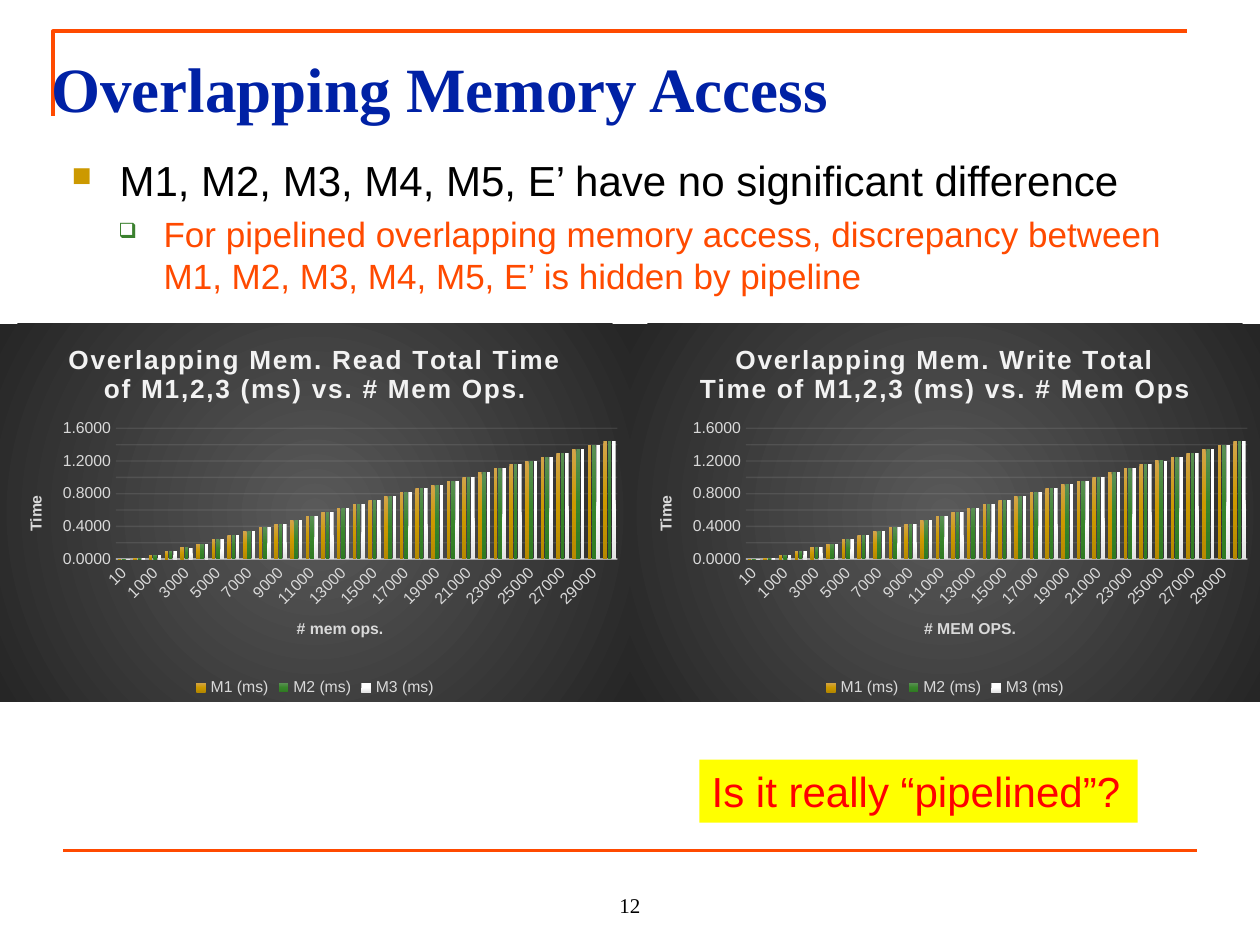
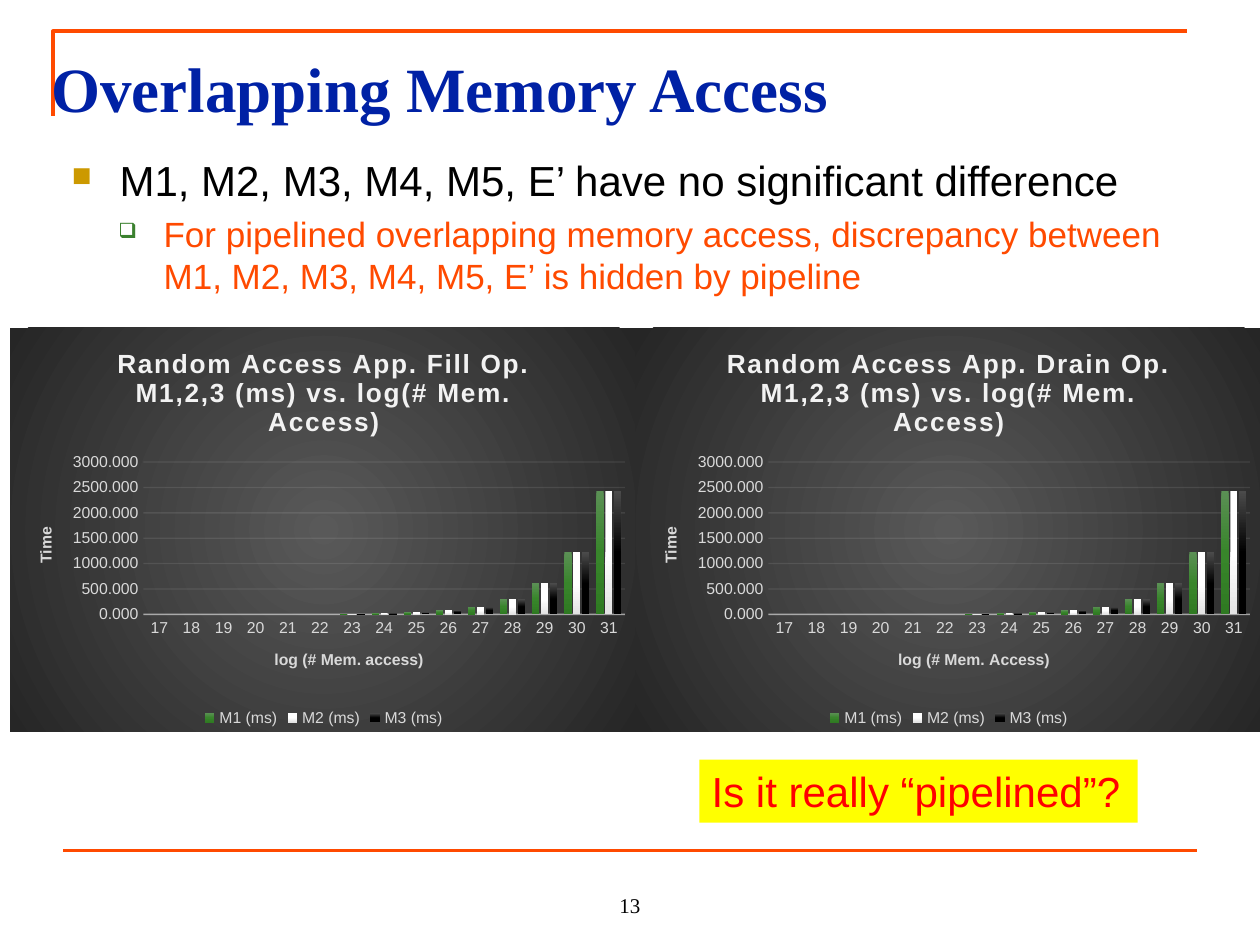
"""Build two slides that compare memory access times in paired column charts."""
from lxml.etree import SubElement as Sub
from pptx import Presentation
from pptx.chart.data import CategoryChartData as Data
from pptx.dml.color import RGBColor as RGB
from pptx.dml.fill import FillFormat as Fill
from pptx.enum.chart import XL_CHART_TYPE as Kind, XL_LEGEND_POSITION as Spot, XL_TICK_MARK as Tick
from pptx.enum.shapes import MSO_CONNECTOR as Link, MSO_SHAPE as Shape
from pptx.enum.text import MSO_ANCHOR as Anchor, PP_ALIGN as Align
from pptx.oxml import parse_xml as parse
from pptx.oxml.ns import nsdecls, qn
from pptx.util import Inches, Pt

ORANGE, BLUE, PALE, GREY = "FF4A00", "0021A5", "F2F2F2", "D9D9D9"
GOLD = "D3A44B", "CC9900", "B58800"
GREEN = "5B9055", "38852B", "2F7A22"
WHITE = "FFFFFF", "FFFFFF", "E3E3E3"
BLACK = "4B4B4B", "000000", "000000"
DARK = "595959", "262626"
COL, ROW = Inches(0.5), Inches(0.25)


def ink(fill, *tones, alpha=100, round=False):
    if len(tones) == 1:
        fill.solid()
        fill.fore_color.rgb = RGB.from_string(tones[0])
        if alpha < 100:
            tone = fill._xPr.find(".//" + qn("a:srgbClr"))
            Sub(tone, qn("a:alpha"), val=str(alpha * 1000))
        return
    fill.gradient()
    fill.gradient_angle = 270
    grad = fill._xPr.find(qn("a:gradFill"))
    stops = grad.find(qn("a:gsLst"))
    for old in list(stops):
        stops.remove(old)
    for i, tone in enumerate(tones):
        stop = Sub(stops, qn("a:gs"), pos=str(100000 * i // (len(tones) - 1)))
        Sub(stop, qn("a:srgbClr"), val=tone)
    if round:
        grad.remove(grad.find(qn("a:lin")))
        way = Sub(grad, qn("a:path"), path="circle")
        Sub(way, qn("a:fillToRect"), l="50000", t="50000", r="50000", b="50000")


def write(frame, text, size=24, face="Arial", tone="000000", bold=False, align=None,
          before=0, lead=None, track=0, mark=None, left=0, hang=0):
    para = frame.add_paragraph() if frame.text else frame.paragraphs[0]
    para.alignment = align
    if before:
        para.space_before = Pt(before)
    if lead:
        para.line_spacing = lead
    if mark:
        sign, shade, share = mark
        props = para._p.get_or_add_pPr()
        props.set("marL", str(Inches(left)))
        props.set("indent", str(-Inches(hang)))
        Sub(Sub(props, qn("a:buClr")), qn("a:srgbClr"), val=shade)
        Sub(props, qn("a:buSzPct"), val=str(share * 1000))
        Sub(props, qn("a:buChar"), char=sign)
    run = para.add_run()
    run.text = text
    run.font.size, run.font.name, run.font.bold = Pt(size), face, bold
    ink(run.font.fill, tone)
    if track:
        run.font._element.set("spc", str(track))


steps = [10, 100] + list(range(1000, 31000, 1000))
times = [0, 0.01, 0.05, 0.1, 0.15, 0.19, 0.24, 0.29, 0.34, 0.39, 0.43,
         0.48, 0.53, 0.58, 0.63, 0.68, 0.72, 0.77, 0.82, 0.87, 0.91,
         0.96, 1.01, 1.06, 1.11, 1.16, 1.2, 1.25, 1.3, 1.35, 1.4, 1.44]
read = dict(zip(steps, times))
last = {**read, 3000: 0.14, 14000: 0.67}
save = {**read, 19000: 0.92, 25000: 1.21, 30000: 1.45}
tail = {**save, 14000: 0.67, 25000: 1.2}
logs = dict(zip(range(17, 32), [0] * 6 + [10, 20, 40, 80, 150, 300, 610, 1220, 2440]))
final = {**logs, 31: 2430}

pages = [
    (12, (0, 10.28, 10, 12), 10, "0.0000", (GOLD, GREEN, WHITE), [
        ("Overlapping Mem. Read Total Time of M1,2,3 (ms) vs. # Mem Ops.",
         "# mem ops.", (read, read, last)),
        ("Overlapping Mem. Write Total Time of M1,2,3 (ms) vs. # Mem Ops",
         "# MEM OPS.", (save, save, tail))]),
    (13, (0.16, 10.4, 9.96, 12.84), 9.92, "0.000", (GREEN, WHITE, BLACK), [
        ("Random Access App. Fill Op. M1,2,3 (ms) vs. log(# Mem. Access)",
         "log (# Mem. access)", (logs, logs, final)),
        ("Random Access App. Drain Op. M1,2,3 (ms) vs. log(# Mem. Access)",
         "log (# Mem. Access)", (logs, logs, final))]),
]

deck = Presentation()
deck.slide_width, deck.slide_height = 20 * COL, 30 * ROW

for page, (x, y, w, h), pitch, form, hues, plots in pages:
    slide = deck.slides.add_slide(deck.slide_layouts[6])
    shapes = slide.shapes

    path = shapes.build_freeform(int(0.84 * COL), int(3.68 * ROW), scale=1.0)
    path.add_line_segments([(int(0.84 * COL), ROW), (int(18.84 * COL), ROW)], close=False)
    frame = path.convert_to_shape()
    frame.shadow.inherit = False
    frame.fill.background()
    rule = shapes.add_connector(Link.STRAIGHT, COL, 27 * ROW, 19 * COL, 27 * ROW)
    Sub(rule._element.spPr, qn("a:effectLst"))
    for edge in (frame, rule):
        ink(edge.line.fill, ORANGE)
        edge.line.width = Pt(2.25)

    texts = []
    for left, top, wide, high, hold in [(8, 27.32, 4, 2, Anchor.BOTTOM),
                                        (0.62, 1.2, 19.44, 3.48, Anchor.MIDDLE),
                                        (0.94, 4.6, 18.58, 21.48, Anchor.TOP)]:
        box = shapes.add_textbox(int(left * COL), int(top * ROW), int(wide * COL), int(high * ROW))
        box.text_frame.word_wrap = True
        box.text_frame.vertical_anchor = hold
        texts.append(box.text_frame)
    foot, head, body = texts
    body.margin_top = Inches(0.08)
    write(foot, str(page), size=12, face="Times New Roman", align=Align.CENTER)
    write(head, "Overlapping Memory Access", size=36, face="Times New Roman",
          tone=BLUE, bold=True, lead=0.9)
    write(body, "M1, M2, M3, M4, M5, E’ have no significant difference",
          mark=("■", "CC9900", 65), left=0.38, hang=0.38)
    write(body, "For pipelined overlapping memory access, discrepancy between "
          "M1, M2, M3, M4, M5, E’ is hidden by pipeline", size=20, tone=ORANGE,
          before=4, mark=("❑", "3B812F", 60), left=0.73, hang=0.36)

    for i, (title, label, sets) in enumerate(plots):
        data = Data(number_format=form)
        data.categories = [str(key) for key in sets[0]]
        for n, vals in enumerate(sets, 1):
            data.add_series(f"M{n} (ms)", vals.values())
        chart = shapes.add_chart(Kind.COLUMN_CLUSTERED, int((x + i * pitch) * COL),
                                 int(y * ROW), int(w * COL), int(h * ROW), data).chart
        chart.font.size, chart.font.name = Pt(10), "Arial"
        back = parse(f"<c:spPr {nsdecls('c', 'a')}/>")
        chart.element.find(qn("c:chart")).addnext(back)
        ink(Fill.from_fill_parent(back), *DARK, round=True)

        chart.has_title = True
        chart.chart_title.include_in_layout = False
        write(chart.chart_title.text_frame, title, size=15, tone=PALE, bold=True, track=100)
        chart.has_legend = True
        chart.legend.position = Spot.BOTTOM
        chart.legend.include_in_layout = False

        across, up = chart.category_axis, chart.value_axis
        for axis, name, turn in ((across, label, 0), (up, "Time", -5400000)):
            axis.major_tick_mark = axis.minor_tick_mark = Tick.NONE
            write(axis.axis_title.text_frame, name, size=9, tone=GREY, bold=True)
            axis.axis_title.text_frame._txBody.bodyPr.set("rot", str(turn))
        for part in (across.tick_labels, up.tick_labels, chart.legend):
            part.font.size, part.font.name = Pt(9), "Arial"
            ink(part.font.fill, GREY)
        across._element.find(qn("c:txPr")).bodyPr.set("rot", "-60000000")
        up.tick_labels.number_format = form
        up.tick_labels.number_format_is_linked = False
        up.format.line.fill.background()
        for line, thick, alpha in ((across.format.line, 1, 54),
                                   (up.major_gridlines.format.line, 0.75, 10)):
            ink(line.fill, PALE, alpha=alpha)
            line.width = Pt(thick)

        plot = chart.plots[0]
        plot.gap_width, plot.overlap, plot.vary_by_categories = 100, -24, False
        for bars, tones in zip(plot.series, hues):
            ink(bars.format.fill, *tones)

    note = shapes.add_shape(Shape.RECTANGLE, int(11.1 * COL), int(24.12 * ROW),
                            int(6.96 * COL), 2 * ROW)
    note.shadow.inherit = False
    ink(note.fill, "FFFF00")
    note.line.fill.background()
    note.text_frame.word_wrap = False
    note.text_frame.vertical_anchor = Anchor.TOP
    write(note.text_frame, "Is it really “pipelined”?", tone="FF0000", align=Align.LEFT)

deck.save("out.pptx")
